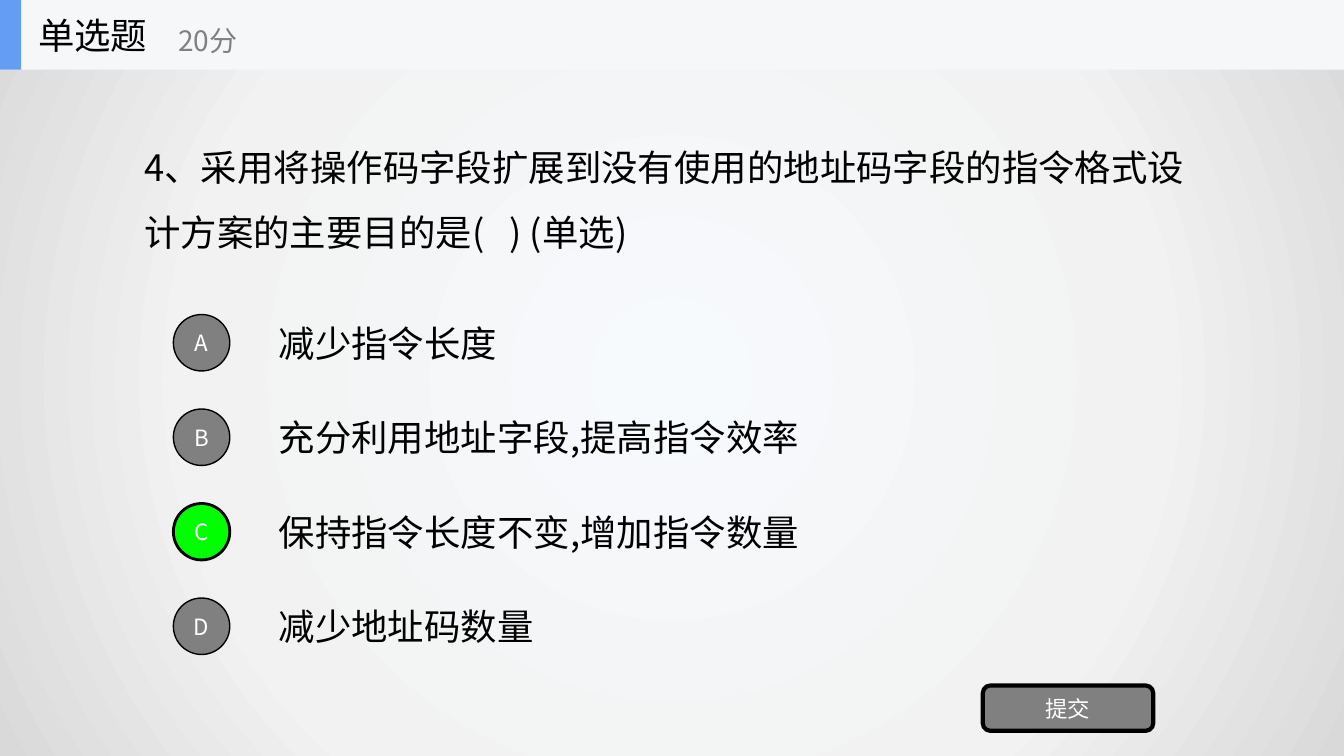
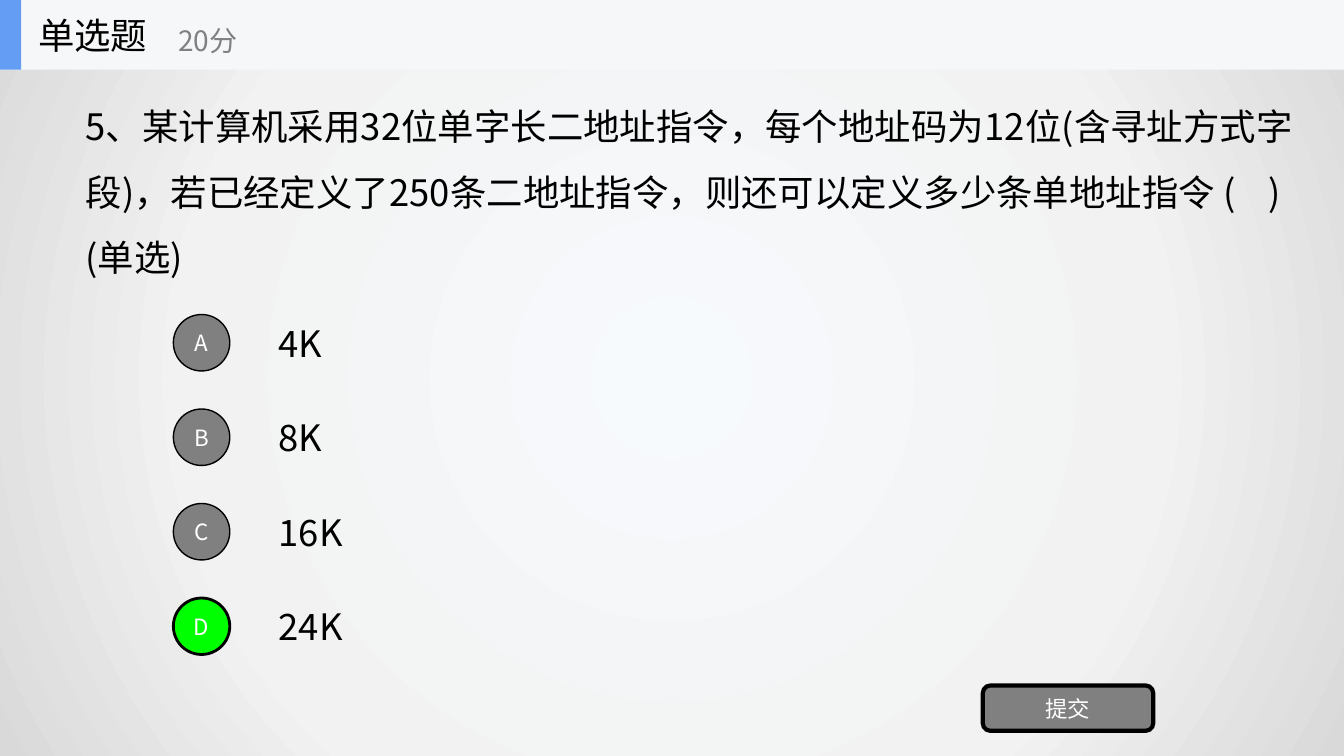
from dataclasses import dataclass

from lxml import etree
from pptx import Presentation
from pptx.dml.color import RGBColor
from pptx.enum.shapes import MSO_SHAPE
from pptx.enum.text import MSO_ANCHOR, MSO_AUTO_SIZE, PP_ALIGN
from pptx.oxml import parse_xml
from pptx.oxml.ns import nsdecls, qn
from pptx.util import Inches, Pt


@dataclass(frozen=True)
class Theme:
    font: str = "Noto Sans CJK SC"
    ink: str = "000000"
    grey: str = "808080"
    white: str = "FFFFFF"
    correct: str = "00FF00"
    band: str = "F6F7F8"
    accent: str = "639EF4"
    backdrop: tuple = ((0, "F7FAFD"), (63, "F2F2F2"), (100, "D9D9D9"))
    body: int = 26
    score: int = 20
    label: int = 16


class Quiz:
    """Draws quiz slides; every box is (left, top, width, height) in percent of the slide."""

    def __init__(self, theme):
        self.t = theme
        self.prs = Presentation()
        self.prs.slide_width, self.prs.slide_height = Inches(13.333), Inches(7.5)
        self.shapes = None
        self.backdrop()

    def backdrop(self):
        # Radial gradient, set once on the master
        fill = self.prs.slide_master.background.fill
        fill.gradient()
        stops = "".join(
            f'<a:gs pos="{pos * 1000}"><a:srgbClr val="{color}"/></a:gs>'
            for pos, color in self.t.backdrop)
        grad = parse_xml(
            f'<a:gradFill {nsdecls("a")} rotWithShape="1"><a:gsLst>{stops}</a:gsLst>'
            '<a:path path="circle"><a:fillToRect l="50000" t="50000" r="50000" b="50000"/>'
            '</a:path></a:gradFill>')
        old = self.prs.slide_master.element.find(".//" + qn("a:gradFill"))
        old.getparent().replace(old, grad)

    def new_slide(self):
        s = self.prs.slides.add_slide(self.prs.slide_layouts[6])
        self.shapes = s.shapes
        return s

    def place(self, box):
        w, h = self.prs.slide_width, self.prs.slide_height
        return [round(share * side / 100) for share, side in zip(box, (w, h, w, h))]

    def put_text(self, sp, text, size, color, frame=None, para=None):
        tf = sp.text_frame
        p = tf.paragraphs[0]
        r = p.add_run()
        r.text = text
        formats = (
            (tf, {"word_wrap": True, "vertical_anchor": MSO_ANCHOR.MIDDLE, **(frame or {})}),
            (p, para or {}),
            (r.font, {"size": Pt(size), "name": self.t.font}),
        )
        for target, values in formats:
            for name, value in values.items():
                setattr(target, name, value)
        r.font.color.rgb = RGBColor.from_string(color)
        # East Asian characters need the font named separately
        ea = etree.SubElement(r.font._element, qn("a:ea"))
        ea.set("typeface", self.t.font)

    def text(self, box, text, size, color, grow=False, **para):
        sp = self.shapes.add_textbox(*self.place(box))
        fit = MSO_AUTO_SIZE.SHAPE_TO_FIT_TEXT if grow else MSO_AUTO_SIZE.NONE
        self.put_text(sp, text, size, color, {"auto_size": fit}, para)

    def shape(self, kind, box, fill, line=0, label=""):
        sp = self.shapes.add_shape(kind, *self.place(box))
        sp.shadow.inherit = False
        sp.fill.solid()
        sp.fill.fore_color.rgb = RGBColor.from_string(fill)
        if line:
            sp.line.color.rgb = RGBColor.from_string(self.t.ink)
            sp.line.width = Pt(line)
        else:
            sp.line.fill.background()
        if label:
            sides = ("left", "top", "right", "bottom")
            self.put_text(sp, label, self.t.label, self.t.white,
                          {f"margin_{side}": 0 for side in sides},
                          {"alignment": PP_ALIGN.CENTER})

    def option(self, row, text, width, correct):
        drop = 12.5 * row
        self.text((20, 41.75 + drop, width, 7.1), text, self.t.body, self.t.ink, grow=True)
        self.shape(MSO_SHAPE.OVAL, (12.9, 41.6 + drop, 4.2, 7.47),
                   self.t.correct if correct else self.t.grey,
                   2 if correct else 1, "ABCD"[row])

    def header(self, s, title, score):
        self.shapes = s.shapes.add_group_shape().shapes
        self.shape(MSO_SHAPE.RECTANGLE, (0, 0, 100, 9.2), self.t.band)
        self.shape(MSO_SHAPE.RECTANGLE, (0, 0, 1.58, 9.2), self.t.accent)
        self.text((2.1, 0, 15.6, 9.2), title, self.t.body, self.t.ink)
        self.text((12.53, 1.6, 18.75, 7.47), score, self.t.score, self.t.grey)

    def question(self, box, text, options, answer):
        s = self.new_slide()
        self.text(box, text, self.t.body, self.t.ink, grow=True, line_spacing=1.5)
        for row, (choice, width) in enumerate(options):
            self.option(row, choice, width, "ABCD"[row] == answer)
        # Submit button
        self.shape(MSO_SHAPE.ROUNDED_RECTANGLE, (73.13, 90.67, 12.68, 6),
                   self.t.grey, 3, "提交")
        self.header(s, "单选题", "20分")


# Each question: box, wording, (choice, width) pairs, right answer
QUESTIONS = (
    ((10, 16, 79.73, 17.87),
     "4、采用将操作码字段扩展到没有使用的地址码字段的指令格式设计方案的主要目的是(   ) (单选)",
     (("减少指令长度", 18.53), ("充分利用地址字段,提高指令效率", 40.88),
      ("保持指令长度不变,增加指令数量", 40.88), ("减少地址码数量", 21.3)),
     "C"),
    ((5.63, 10.67, 92.4, 26.53),
     "5、某计算机采用32位单字长二地址指令，每个地址码为12位(含寻址方式字段)，"
     "若已经定义了250条二地址指令，则还可以定义多少条单地址指令 (    )  (单选)",
     (("4K", 5.63), ("8K", 5.63), ("16K", 7.2), ("24K", 7.2)),
     "D"),
)


def main():
    quiz = Quiz(Theme())
    for item in QUESTIONS:
        quiz.question(*item)
    quiz.prs.save("out.pptx")


if __name__ == "__main__":
    main()
